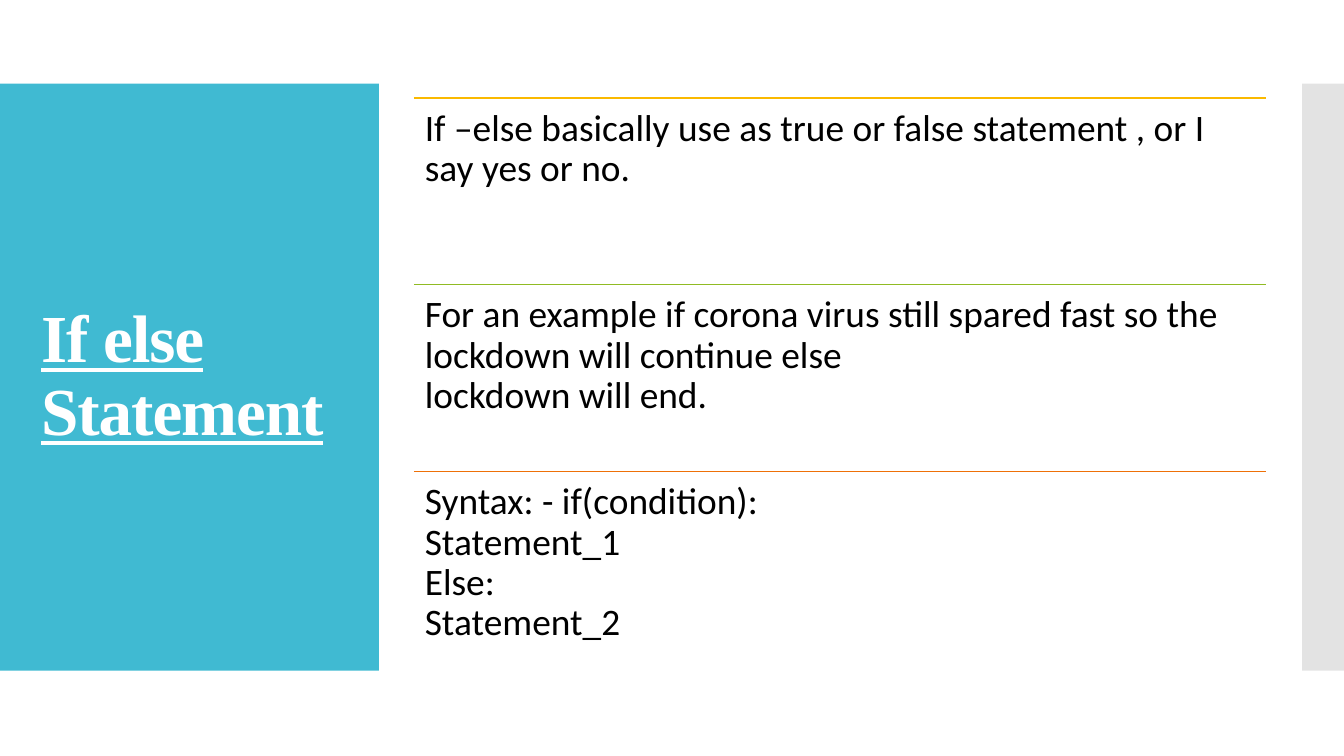
import pptx
import pptx.util
import pptx.dml.color
import pptx.enum.shapes
import pptx.enum.text
import lxml.etree
from pptx.util import Cm

TITLE = {"size": pptx.util.Pt(36), "name": "Times New Roman",
         "bold": True, "underline": True}
BODY = {"size": pptx.util.Pt(20), "name": "Calibri"}
ROWS = [
    ("FAB900", "If –else basically use as true or false statement , or I say yes or no."),
    ("90BB23", "For an example if corona virus still spared fast so the "
               "lockdown will continue else \nlockdown will end."),
    ("EE7008", "Syntax: -\u00a0if(condition):\nStatement_1\nElse:\nStatement_2"),
]


def tint(form, code):
    form.rgb = pptx.dml.color.RGBColor.from_string(code)


def add(node, tag, **vals):
    return lxml.etree.SubElement(node, pptx.oxml.ns.qn(tag), **vals)


def panel(slide, box, code, alpha=None):
    rect = slide.shapes.add_shape(
        pptx.enum.shapes.MSO_SHAPE.RECTANGLE, *map(Cm, box))
    rect.shadow.inherit = False
    rect.line.fill.background()
    rect.fill.solid()
    tint(rect.fill.fore_color, code)
    if alpha:
        fill = rect.fill._xPr.find(pptx.oxml.ns.qn("a:solidFill"))
        add(fill[0], "a:alpha", val=str(alpha * 1000))


def label(slide, box, text, style, code, inset=None, space=None):
    frame = slide.shapes.add_textbox(*map(Cm, box)).text_frame
    frame.word_wrap = True
    if inset:
        for side in ("left", "right", "top", "bottom"):
            setattr(frame, "margin_" + side, Cm(inset))
    para = frame.paragraphs[0]
    para.text = text
    para.line_spacing = 0.9
    for run in para.runs:
        for key, val in style.items():
            setattr(run.font, key, val)
        tint(run.font.color, code)
        if space:
            run.font._element.set("spc", str(space))
    return frame


def rule(slide, left, top, width, code):
    line = slide.shapes.add_connector(
        pptx.enum.shapes.MSO_CONNECTOR.STRAIGHT,
        Cm(left), Cm(top), Cm(left + width), Cm(top))
    tint(line.line.color, code)
    line.line.width = pptx.util.Pt(0.85)
    add(line._element.spPr, "a:effectLst")


def side(slide, box):
    left, top, width, height = box
    panel(slide, box, "40BAD2")
    frame = label(slide, (left + 0.53, top + 0.76, width - 1.01, height - 1.52),
                  "If else Statement", TITLE, "FFFFFF", space=-60)
    frame.vertical_anchor = pptx.enum.text.MSO_ANCHOR.MIDDLE


def points(slide, box):
    left, top, width, height = box
    step = height / len(ROWS)
    for num, (code, text) in enumerate(ROWS):
        edge = top + num * step
        rule(slide, left, edge, width, code)
        label(slide, (left, edge, width, step), text, BODY, "000000", 0.21)


deck = pptx.Presentation()
deck.slide_width, deck.slide_height = Cm(25.4), Cm(14.29)
page = deck.slides.add_slide(deck.slide_layouts[6])
side(page, (0, 1.58, 7.16, 11.1))
panel(page, (24.61, 1.58, 0.79, 11.1), "C8C8C8", 50)
points(page, (7.82, 1.85, 16.1, 10.59))
deck.save("out.pptx")
